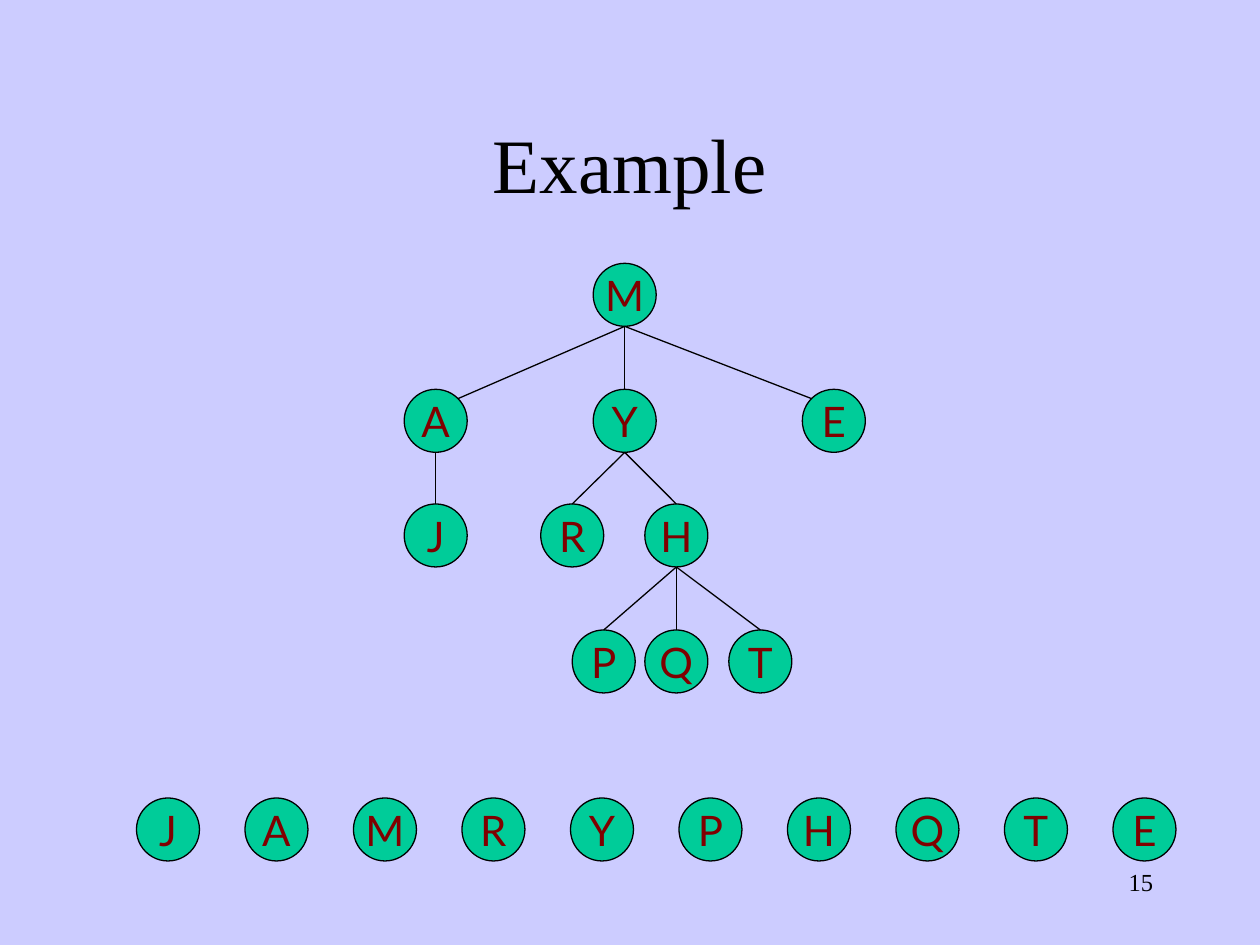
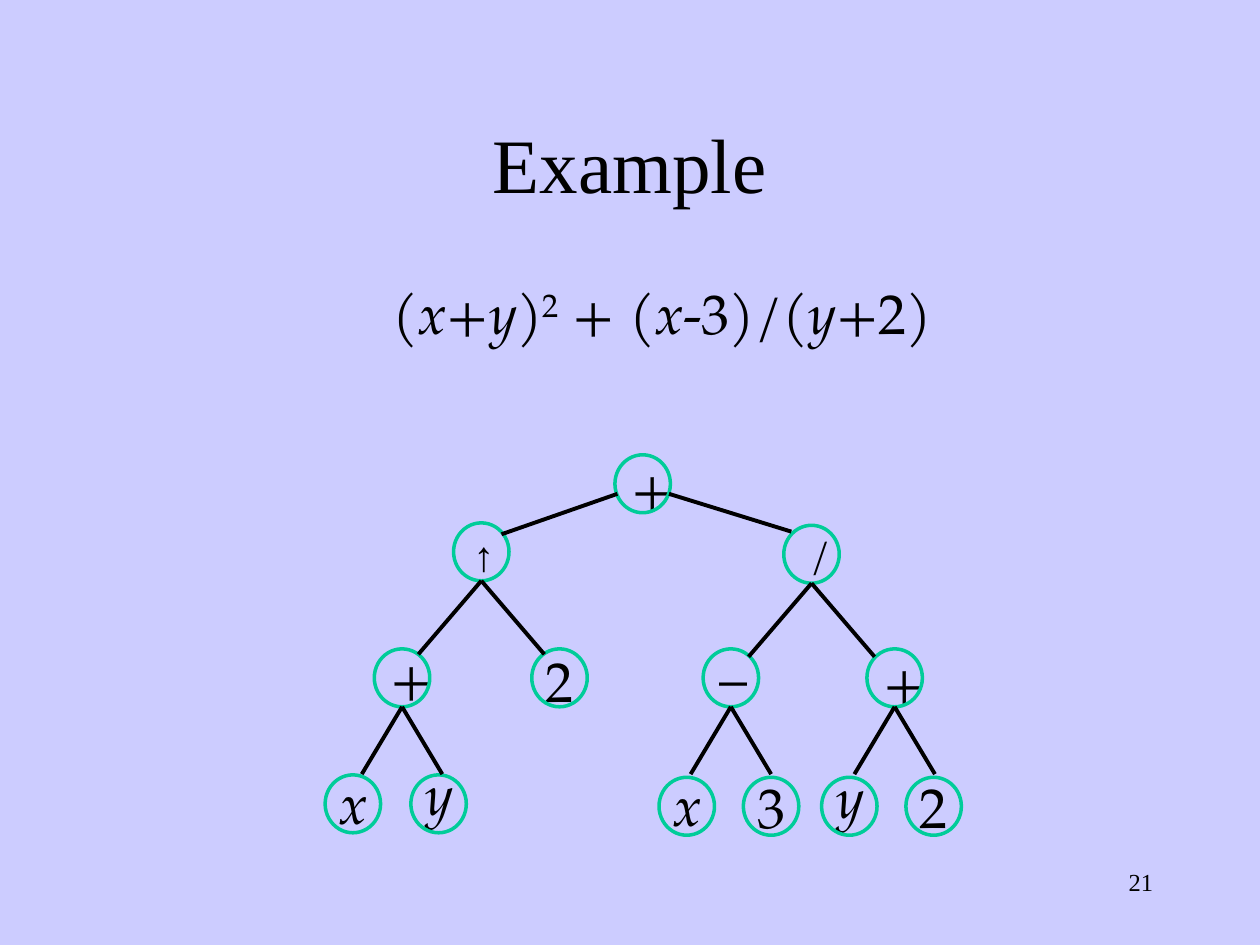
"""Build two slides that show a general tree and an expression tree."""
from lxml.etree import SubElement
from pptx import Presentation
from pptx.dml.color import RGBColor
from pptx.enum.shapes import MSO_CONNECTOR, MSO_SHAPE
from pptx.enum.text import MSO_ANCHOR, MSO_AUTO_SIZE, PP_ALIGN
from pptx.oxml.ns import qn
from pptx.util import Pt

LILAC = RGBColor(0xCC, 0xCC, 0xFF)
GREEN = RGBColor(0x00, 0xCC, 0x99)
MAROON = RGBColor(0x80, 0x00, 0x00)
BLACK = RGBColor(0x00, 0x00, 0x00)
SERIF, SANS, MATH, ARROW = "Times New Roman", "Lato", "TeX Gyre Pagella", "Arial"
DISC = 36
RING_W, RING_H = 31.7, 33.1

NODES = {
    "M": (108, 0), "A": (0, 72), "Y": (108, 72), "E": (227.5, 72),
    "J": (0, 137.5), "R": (78, 137.5), "H": (137.5, 137.5),
    "P": (96, 209.5), "Q": (137.5, 209.5), "T": (185.5, 209.5),
}
EDGES = ["MA", "MY", "ME", "YR", "YH", "AJ", "HP", "HQ", "HT"]
SLANTS = {"A": 30.7, "E": 5.3}

FORMULA = [("(", ""), ("x", "i"), ("+", ""), ("y", "i"), (")", ""), ("2", "sup"),
           (" + (", ""), ("x", "i"), ("-3)/(", ""), ("y", "i"), ("+2)", "")]

# label, ring left, ring top, label shift right, label shift down, label width
TERMS = [
    ("+", 165.6, 0, 2.2, -5, 32.4),
    ("↑", 73.4, 38.9, 4.3, 0, 23.8),
    ("/", 262.1, 40.3, 7.9, -2.2, 20.9),
    ("+", 28.1, 110.9, 2.2, -7.2, 32.4),
    ("2", 118.1, 110.9, 0.7, -5, 32.4),
    ("–", 216, 110.9, 2.2, -7.2, 30.2),
    ("+", 309.6, 110.9, 2.2, -5, 32.4),
    ("x", 0, 182.9, 1.4, -7.2, 31.7),
    ("y", 49, 182.9, 1.4, -12.2, 31),
    ("x", 190.8, 184.3, 1.4, -7.2, 31.7),
    ("3", 239, 184.3, 0.7, -6.5, 32.4),
    ("y", 283.7, 184.3, 1.4, -12.2, 31),
    ("2", 331.9, 184.3, 0.7, -6.5, 32.4),
]
# index of the parent term, half spread, drop
FORKS = [(1, 36, 42), (2, 36, 42), (3, 23, 38.5), (5, 23, 38.5), (6, 23, 38.5)]
ARMS = [(167, 22.3, 100.8, 45.4), (196.5, 22.3, 266.4, 43.9)]


def add_run(para, text, size, face, color=BLACK, italic=False):
    """Add one styled run to a paragraph."""
    run = para.add_run()
    run.text = text
    font = run.font
    font.size, font.name, font.italic = Pt(size), face, italic
    font.color.rgb = color
    return run


def add_box(slide, left, top, width, height, wrap=True):
    """Add an empty text box and return its frame."""
    box = slide.shapes.add_textbox(Pt(left), Pt(top), Pt(width), Pt(height))
    box.text_frame.word_wrap = wrap
    return box.text_frame


def add_oval(slide, left, top, width, height, color, weight):
    """Add an unfilled oval without shadow."""
    oval = slide.shapes.add_shape(MSO_SHAPE.OVAL, Pt(left), Pt(top), Pt(width), Pt(height))
    oval.shadow.inherit = False
    oval.fill.background()
    oval.line.color.rgb = color
    oval.line.width = Pt(weight)
    return oval


def add_line(slide, start, end, weight):
    """Add a straight black line without shadow."""
    ends = [Pt(n) for n in (*start, *end)]
    line = slide.shapes.add_connector(MSO_CONNECTOR.STRAIGHT, *ends)
    line.line.color.rgb = BLACK
    line.line.width = Pt(weight)
    SubElement(line._element.spPr, qn("a:effectLst"))
    return line


def add_frame(deck, title, number):
    """Add a slide with the shared ground, title and page number."""
    slide = deck.slides.add_slide(deck.slide_layouts[6])
    slide.background.fill.solid()
    slide.background.fill.fore_color.rgb = LILAC
    foot = add_box(slide, 516, 492, 150, 36).paragraphs[0]
    foot.alignment = PP_ALIGN.RIGHT
    add_run(foot, number, 14, SERIF)
    head = add_box(slide, 54, 48, 612, 90)
    head.vertical_anchor = MSO_ANCHOR.MIDDLE
    head.paragraphs[0].alignment = PP_ALIGN.CENTER
    add_run(head.paragraphs[0], title, 44, SERIF)
    return slide


def add_disc(slide, label, left, top):
    """Add a green disc with a centred letter."""
    disc = add_oval(slide, left, top, DISC, DISC, BLACK, 0.75)
    disc.fill.solid()
    disc.fill.fore_color.rgb = GREEN
    frame = disc.text_frame
    frame.word_wrap = False
    frame.vertical_anchor = MSO_ANCHOR.MIDDLE
    frame.paragraphs[0].alignment = PP_ALIGN.CENTER
    add_run(frame.paragraphs[0], label, 24, SANS, MAROON)
    return disc


def add_row(slide, left, top, pitch, labels):
    """Add an evenly spaced row of discs."""
    for i, label in enumerate(labels):
        add_disc(slide, label, left + i * pitch, top)


def add_tree(slide, left, top):
    """Add the letter tree with its edges."""
    discs = {key: add_disc(slide, key, left + x, top + y) for key, (x, y) in NODES.items()}
    for head, tail in EDGES:
        (hx, hy), (tx, ty) = NODES[head], NODES[tail]
        start = (left + hx + DISC / 2, top + hy + DISC)
        slant = SLANTS.get(tail)
        if slant:
            add_line(slide, start, (left + tx + slant, top + ty + 5.3), 0.75)
        else:
            line = add_line(slide, start, (left + tx + DISC / 2, top + ty), 0.75)
            line.end_connect(discs[tail], 0)


def add_sum(slide, left, top, width, height):
    """Add the formula line."""
    para = add_box(slide, left, top, width, height).paragraphs[0]
    para.space_before = Pt(8)
    props = para._p.get_or_add_pPr()
    props.set("marL", str(Pt(27)))
    props.set("indent", str(Pt(-27)))
    for text, style in FORMULA:
        run = add_run(para, text, 32, MATH, italic=style == "i")
        if style == "sup":
            run.font._element.set("baseline", "30000")


def add_term(slide, left, top, label, shift, drop, width):
    """Add a ring and its label."""
    small = label in "↑/"
    frame = add_box(slide, left + shift, top + drop, width, 36 if small else 46, False)
    frame.auto_size = MSO_AUTO_SIZE.SHAPE_TO_FIT_TEXT
    face = ARROW if label == "↑" else MATH
    add_run(frame.paragraphs[0], label, 24 if small else 32, face, italic=label in "xy")
    add_oval(slide, left, top, RING_W, RING_H, GREEN, 2)


def add_parse(slide, left, top):
    """Add the formula tree with its forks."""
    for label, x, y, shift, drop, width in TERMS:
        add_term(slide, left + x, top + y, label, shift, drop, width)
    for i, spread, drop in FORKS:
        x = left + TERMS[i][1] + RING_W / 2
        y = top + TERMS[i][2] + RING_H
        for side in (-spread, spread):
            add_line(slide, (x + side, y + drop), (x, y), 2.25)
    for x1, y1, x2, y2 in ARMS:
        add_line(slide, (left + x1, top + y1), (left + x2, top + y2), 2.25)


def main():
    """Build and save the deck."""
    deck = Presentation()
    deck.slide_width, deck.slide_height = Pt(720), Pt(540)
    slide = add_frame(deck, "Example", "15")
    add_row(slide, 78, 456, 62, "JAMRYPHQTE")
    add_tree(slide, 231, 150.5)
    slide = add_frame(deck, "Example", "21")
    add_sum(slide, 217.5, 155.5, 354, 63)
    add_parse(slide, 185.8, 259.9)
    deck.save("out.pptx")


if __name__ == "__main__":
    main()
